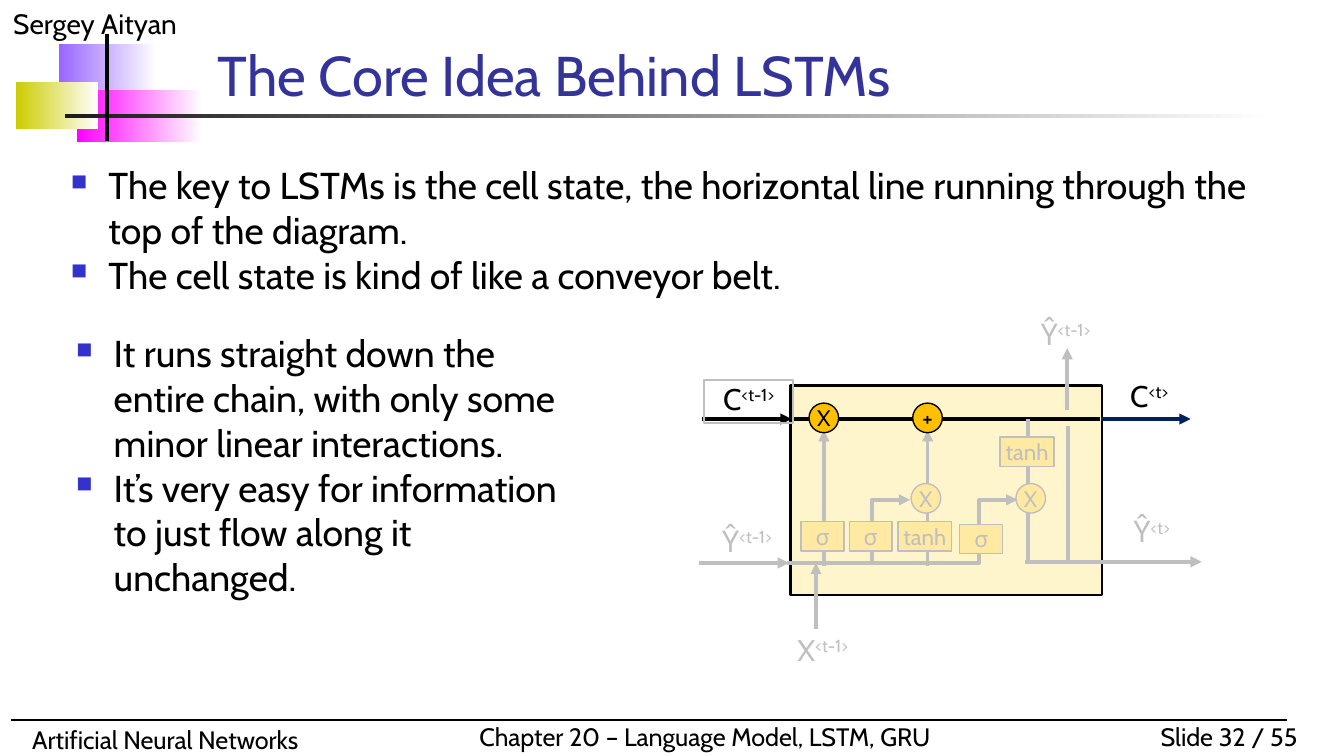
from lxml import etree
from pptx import Presentation
from pptx.dml.color import RGBColor
from pptx.enum import shapes, text
from pptx.oxml import ns
from pptx.util import Cm, Pt

FONT = "Cabin"
BLACK, GREY, PALE, GOLD = "000000", "BFBFBF", "FFE9A3", "FFC000"
RECT, OVAL = shapes.MSO_SHAPE.RECTANGLE, shapes.MSO_SHAPE.OVAL
LEFT, MID, RIGHT = text.PP_ALIGN.LEFT, text.PP_ALIGN.CENTER, text.PP_ALIGN.RIGHT


def rgb(code):
    return RGBColor.from_string(code)


def style(para, size, color, align=LEFT):
    para.alignment = align
    para.font.name = FONT
    para.font.size = Pt(size)
    para.font.color.rgb = rgb(color)


prs = Presentation()
prs.slide_width, prs.slide_height = Cm(25.4), Cm(14.29)
slide = prs.slides.add_slide(prs.slide_layouts[5])
items = slide.shapes

# Title
title = items.title
title.left, title.top, title.width, title.height = Cm(3.86), Cm(0.79), Cm(18.67), Cm(1.37)
title.text_frame.text = "The Core Idea Behind LSTMs"
title.text_frame.vertical_anchor = text.MSO_ANCHOR.BOTTOM
style(title.text_frame.paragraphs[0], 30, "333399")

# Fading bars in the corner and under the title
bars = [
    (1.12, 0.84, 1.85, 0.99, "9966FF"),
    (1.45, 1.70, 2.36, 0.99, "FF00FF"),
    (0.30, 1.55, 1.55, 0.89, "CCCC00"),
    (1.22, 2.16, 22.86, 0.08, "1C1C1C"),
]
for *box, color in bars:
    bar = items.add_shape(RECT, *map(Cm, box))
    bar.shadow.inherit = False
    bar.line.fill.background()
    bar.fill.gradient()
    bar.fill.gradient_angle = 0
    for stop, shade in zip(bar.fill.gradient_stops, (color, "FFFFFF")):
        stop.color.rgb = rgb(shade)

# Header and footer
notes = [
    (0, 0, 6.35, 0.89, "Sergey Aityan", 15, LEFT),
    (20.96, 13.51, 3.81, 0.84, "Slide 32 / 55", 13.5, RIGHT),
    (0.36, 13.56, 9.4, 0.84, "Artificial Neural Networks", 13.5, LEFT),
    (8.81, 13.51, 9.6, 0.84, "Chapter 20 – Language Model, LSTM, GRU", 13.5, LEFT),
]
for *box, words, size, align in notes:
    frame = items.add_textbox(*map(Cm, box)).text_frame
    frame.word_wrap = True
    frame.text = words
    style(frame.paragraphs[0], size, BLACK, align)

# Bullet lists
lists = [
    (1.09, 2.95, 22.91, 2.39, [
        "The key to LSTMs is the cell state, the horizontal line running through the "
        "top of the diagram.",
        "The cell state is kind of like a conveyor belt."]),
    (1.19, 6.12, 10.26, 5, [
        "It runs straight down the entire chain, with only some minor linear interactions.",
        "It’s very easy for information to just flow along it unchanged."]),
]
for *box, points in lists:
    frame = items.add_textbox(*map(Cm, box)).text_frame
    frame.word_wrap = True
    frame.text = "\n".join(points)
    for para in frame.paragraphs:
        style(para, 20, BLACK)
        props = para._p.get_or_add_pPr()
        props.set("marL", str(Cm(0.71)))
        props.set("indent", str(-Cm(0.71)))
        tint = etree.SubElement(props, ns.qn("a:buClr"))
        etree.SubElement(tint, ns.qn("a:srgbClr"), val="3333CC")
        etree.SubElement(props, ns.qn("a:buSzPct"), val="60000")
        etree.SubElement(props, ns.qn("a:buChar"), char="■")

# Cell body
cell = items.add_shape(RECT, Cm(14.94), Cm(7.29), Cm(5.89), Cm(3.96))
cell.shadow.inherit = False
cell.fill.solid()
cell.fill.fore_color.rgb = rgb("FFF5CC")
cell.line.color.rgb = rgb(BLACK)
cell.line.width = Pt(1.5)

# Lines: from x, y to x, y, colour, width, arrowhead
TOP, LOW = 7.92, 10.64  # cell state and input levels
lines = [
    (0.2, 13.61, 24.33, 13.61, BLACK, 0.75, False),
    (2.03, 0.64, 2.03, 2.67, BLACK, 2, False),
    (15.42, 11.89, 15.42, LOW, GREY, 2, True),
    (20.19, 10.59, 20.19, 8.05, GREY, 2, False),
    (15.57, 10.69, 15.57, 8.13, GREY, 2, True),
    (17.53, 10.69, 17.53, 8.13, GREY, 2, True),
    (20.17, 7.75, 20.17, 6.58, GREY, 2, True),
    (14.88, LOW, 18.11, LOW, GREY, 2, False),
    (13.21, LOW, 14.91, LOW, GREY, 2, True),
    (13.26, TOP, 14.96, TOP, BLACK, 2, True),
    (14.94, TOP, 20.78, TOP, BLACK, 2, False),
    (17.78, LOW, 19.23, 9.45, GREY, 2, True),
    (15.75, LOW, 17.2, 9.45, GREY, 2, True),
    (19.38, 10.62, 22.71, 10.62, GREY, 2, True),
    (19.43, LOW, 19.43, TOP, GREY, 2, False),
    (20.8, TOP, 22.5, TOP, "002060", 2, True),
]
for x1, y1, x2, y2, color, width, arrow in lines:
    bent = x1 != x2 and y1 != y2
    kind = shapes.MSO_CONNECTOR.ELBOW if bent else shapes.MSO_CONNECTOR.STRAIGHT
    line = items.add_connector(kind, Cm(x1), Cm(y1), Cm(x2), Cm(y2))
    line.line.color.rgb = rgb(color)
    line.line.width = Pt(width)
    if arrow:
        etree.SubElement(line.line._get_or_add_ln(), ns.qn("a:tailEnd"), type="triangle")
    etree.SubElement(line._element.spPr, ns.qn("a:effectLst"))

# Gates and operators: kind, left, top, width, words, fill, ink, edge
nodes = [
    (RECT, 15.14, 9.86, 0.81, "σ", PALE, GREY, GREY),
    (RECT, 16.05, 9.86, 0.81, "σ", PALE, GREY, GREY),
    (RECT, 18.14, 9.91, 0.81, "σ", PALE, GREY, GREY),
    (RECT, 16.97, 9.86, 1.02, "tanh", PALE, GREY, GREY),
    (RECT, 18.9, 8.26, 1.02, "tanh", PALE, GREY, GREY),
    (OVAL, 17.22, 9.14, 0.56, "X", PALE, GREY, GREY),
    (OVAL, 19.2, 9.14, 0.56, "X", PALE, GREY, GREY),
    (OVAL, 15.29, 7.62, 0.56, "X", GOLD, BLACK, BLACK),
    (OVAL, 17.25, 7.62, 0.56, "+", GOLD, BLACK, BLACK),
]
for kind, x, y, width, words, fill, ink, edge in nodes:
    node = items.add_shape(kind, Cm(x), Cm(y), Cm(width), Cm(0.56))
    node.shadow.inherit = False
    node.fill.solid()
    node.fill.fore_color.rgb = rgb(fill)
    node.line.color.rgb = rgb(edge)
    node.line.width = Pt(0.75)
    frame = node.text_frame
    frame.margin_left = frame.margin_right = frame.margin_top = frame.margin_bottom = 0
    frame.vertical_anchor = text.MSO_ANCHOR.MIDDLE
    frame.word_wrap = False
    frame.text = words
    style(frame.paragraphs[0], 12, ink, MID)

# Signal names with a raised time step
signs = [
    (14.71, 11.94, "X", "<t-1>", GREY),
    (13.28, 9.88, "Ŷ", "<t-1>", GREY),
    (19.3, 5.97, "Ŷ", "<t-1>", GREY),
    (13.31, 7.19, "C", "<t-1>", BLACK),
    (20.88, 7.14, "C", "<t>", BLACK),
    (20.93, 9.7, "Ŷ", "<t>", GREY),
]
for x, y, name, step, color in signs:
    sign = items.add_textbox(Cm(x), Cm(y), Cm(1.68), Cm(0.81))
    frame = sign.text_frame
    frame.margin_left = frame.margin_right = frame.margin_top = 0
    frame.margin_bottom = Cm(0.1)
    frame.word_wrap = True
    para = frame.paragraphs[0]
    style(para, 16, color, MID)
    para.add_run().text = name
    power = para.add_run()
    power.text = step
    power._r.get_or_add_rPr().set("baseline", "30000")
    if (name, step) == ("C", "<t-1>"):
        sign.line.color.rgb = rgb(GREY)
        sign.line.width = Pt(1)

prs.save("out.pptx")
